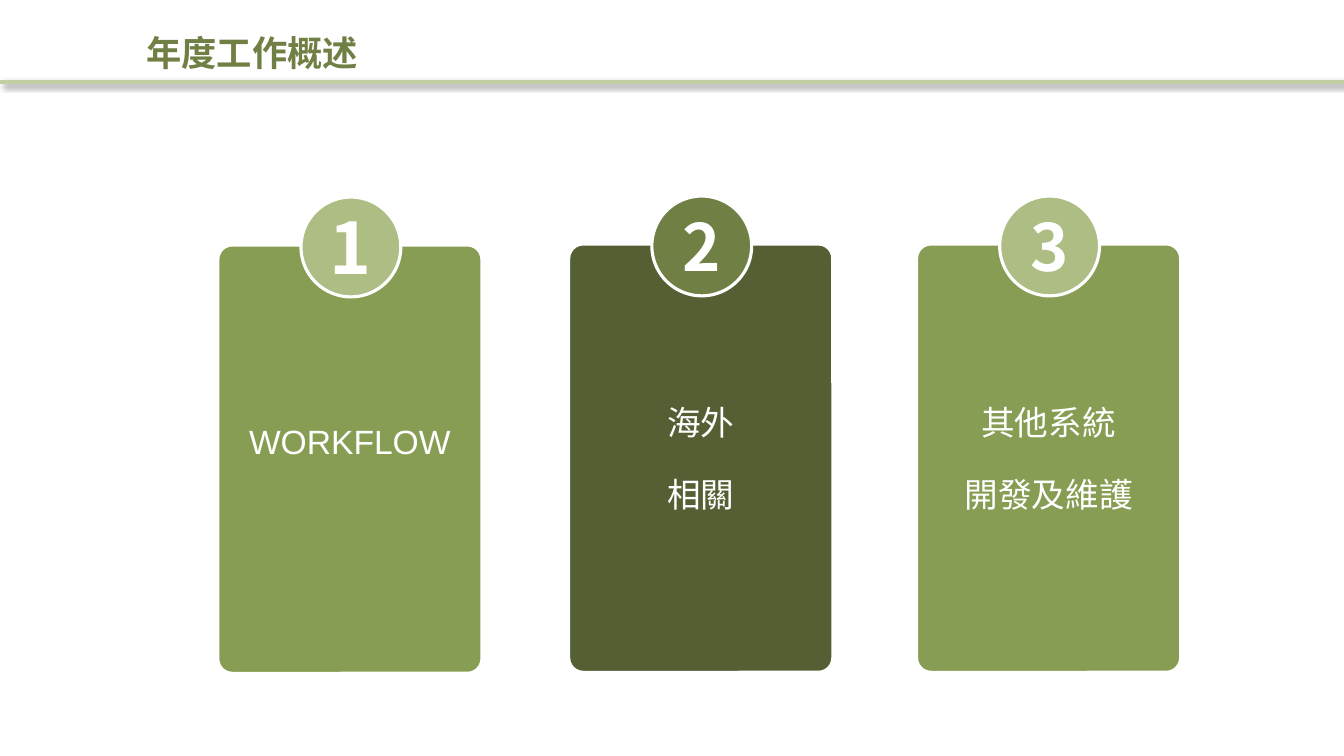
from lxml import etree
from pptx import Presentation
from pptx.dml.color import RGBColor
from pptx.enum.shapes import MSO_CONNECTOR, MSO_SHAPE
from pptx.enum.text import MSO_ANCHOR, MSO_AUTO_SIZE, PP_ALIGN
from pptx.oxml import parse_xml
from pptx.oxml.ns import nsdecls
from pptx.util import Inches, Pt


def rgb(value):
    return RGBColor.from_string(value)


class OverviewSlide:
    """Holds the style and the current slide, and draws its elements."""

    WHITE, RULE, OLIVE = "FFFFFF", "C2CEA3", "708045"
    BODY_FONT, DIGIT_FONT, TITLE_FONT = "Arial", "Noto Sans CJK SC", "Montserrat"
    CARD_WIDTH, CARD_HEIGHT, BADGE_SIZE = 2.62, 4.25, 0.99

    def __init__(self, deck):
        self.slide = deck.slides.add_slide(deck.slide_layouts[5])
        self.shapes = self.slide.shapes

    def add_text(self, paragraph, text, font, size, color, bold=False):
        run = paragraph.add_run()
        run.text = text
        run.font.name, run.font.size, run.font.bold = font, Pt(size), bold
        run.font.color.rgb = rgb(color)

    def title(self, text):
        heading = self.shapes.title
        heading.left, heading.top = Inches(1.35), Inches(0.32)
        heading.width, heading.height = Inches(11.06), Inches(0.45)
        frame = heading.text_frame
        frame.vertical_anchor = MSO_ANCHOR.MIDDLE
        frame.auto_size = MSO_AUTO_SIZE.NONE
        paragraph = frame.paragraphs[0]
        paragraph.alignment = PP_ALIGN.LEFT
        paragraph.line_spacing = 0.9
        self.add_text(paragraph, text, self.TITLE_FONT, 25.2, self.OLIVE, True)

    def header_rule(self, top):
        rule = self.shapes.add_connector(
            MSO_CONNECTOR.STRAIGHT, 0, Inches(top), Inches(13.33), Inches(top))
        rule.line.color.rgb = rgb(self.RULE)
        rule.line.width = Pt(3)
        effects = parse_xml(f"<a:effectLst {nsdecls('a')}/>")
        shadow = etree.SubElement(
            effects, effects.tag.replace("effectLst", "outerShdw"),
            blurRad=str(Pt(4)), dist=str(Pt(3)), dir="2700000", algn="tl", rotWithShape="0")
        shade = etree.SubElement(shadow, shadow.tag.replace("outerShdw", "srgbClr"), val="000000")
        etree.SubElement(shade, shade.tag.replace("srgbClr", "alpha"), val="40000")
        rule.element.spPr.append(effects)

    def outlined(self, shapes, kind, left, top, width, height, fill):
        shape = shapes.add_shape(kind, Inches(left), Inches(top), Inches(width), Inches(height))
        shape.shadow.inherit = False
        shape.fill.solid()
        shape.fill.fore_color.rgb = rgb(fill)
        shape.line.color.rgb = rgb(self.WHITE)
        shape.line.width = Pt(2.25)
        return shape

    def card(self, left, top, fill, lines, bottom_inset):
        panel = self.outlined(self.shapes, MSO_SHAPE.ROUNDED_RECTANGLE, left, top,
                              self.CARD_WIDTH, self.CARD_HEIGHT, fill)
        panel.adjustments[0] = 0.055
        frame = panel.text_frame
        frame.word_wrap = True
        frame.vertical_anchor = MSO_ANCHOR.MIDDLE
        frame.margin_bottom = Inches(bottom_inset)
        for index, line in enumerate(lines):
            paragraph = frame.add_paragraph() if index else frame.paragraphs[0]
            paragraph.alignment = PP_ALIGN.CENTER
            if index:
                paragraph.space_before = Pt(23)
            self.add_text(paragraph, line, self.BODY_FONT, 24, self.WHITE)

    def badge(self, center, middle, fill, digit, size, box):
        group = self.shapes.add_group_shape()
        radius = self.BADGE_SIZE / 2
        self.outlined(group.shapes, MSO_SHAPE.OVAL, center - radius, middle - radius,
                      self.BADGE_SIZE, self.BADGE_SIZE, fill)
        width, height = box
        label = group.shapes.add_textbox(Inches(center - width / 2), Inches(middle - height / 2),
                                         Inches(width), Inches(height))
        frame = label.text_frame
        frame.word_wrap = False
        frame.auto_size = MSO_AUTO_SIZE.SHAPE_TO_FIT_TEXT
        paragraph = frame.paragraphs[0]
        paragraph.alignment = PP_ALIGN.CENTER
        self.add_text(paragraph, digit, self.DIGIT_FONT, size, self.WHITE, True)


def main():
    deck = Presentation()
    deck.slide_width, deck.slide_height = Inches(13.33), Inches(7.5)
    overview = OverviewSlide(deck)
    overview.header_rule(0.81)
    overview.title("年度工作概述")

    topics = [
        (2.16, 2.43, "889D54", "ADBD84", ["WORKFLOW"], 0.41, 50.8, (0.64, 0.96)),
        (5.64, 2.42, "546034", "708045", ["海外", "相關"], 0.05, 46.5, (0.61, 0.88)),
        (9.09, 2.42, "889D54", "ADBD84", ["其他系統", "開發及維護"], 0.05, 46.5, (0.61, 0.88)),
    ]
    for number, topic in enumerate(topics, 1):
        left, top, card_fill, badge_fill, lines, inset, size, box = topic
        overview.card(left, top, card_fill, lines, inset)
        overview.badge(left + overview.CARD_WIDTH / 2 + 0.01, top + 0.02,
                       badge_fill, str(number), size, box)
    deck.save("out.pptx")


if __name__ == "__main__":
    main()
